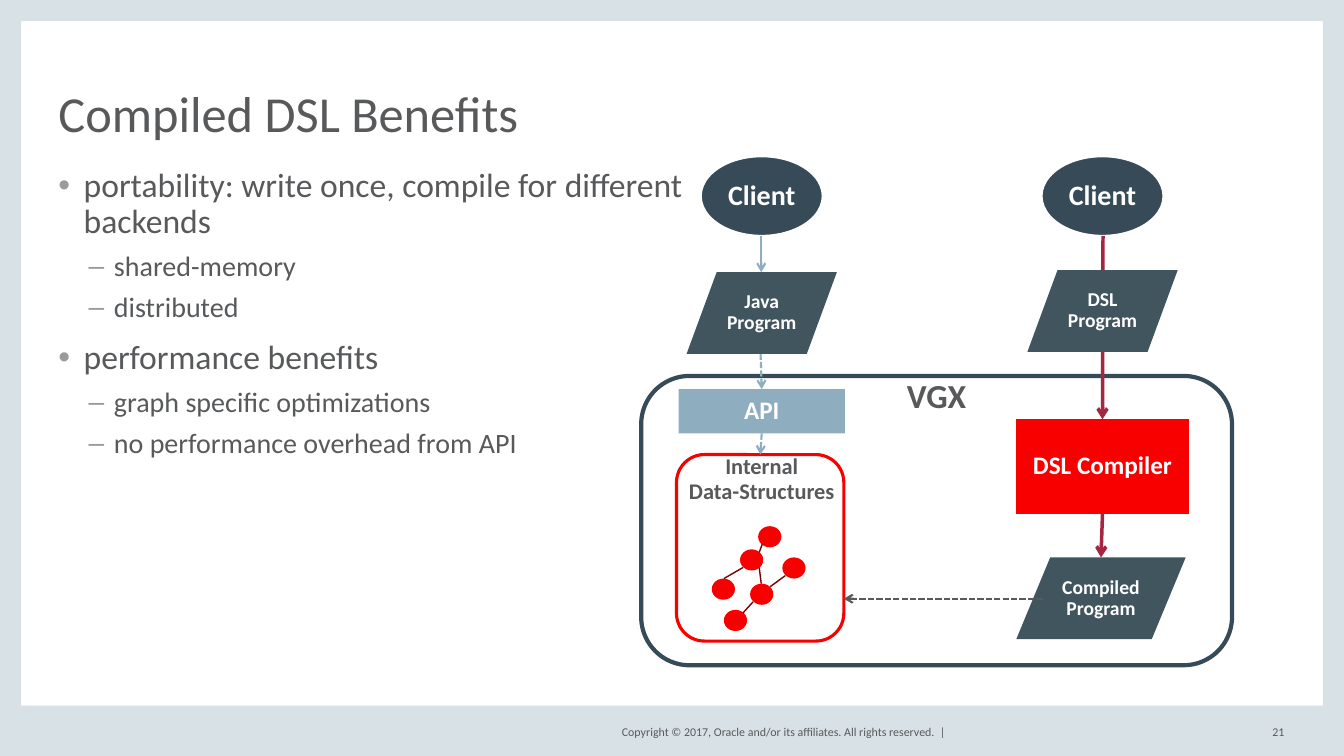
from lxml.etree import SubElement
from pptx import Presentation
from pptx.dml.color import RGBColor
from pptx.enum.dml import MSO_LINE
from pptx.enum.shapes import MSO_CONNECTOR, MSO_SHAPE
from pptx.enum.text import MSO_ANCHOR, MSO_AUTO_SIZE, PP_ALIGN
from pptx.oxml.ns import qn
from pptx.util import Inches, Pt

COLORS = {
    "frame": "D8E1E6", "text": "58595B", "bullet": "9A9B9D", "white": "FFFFFF",
    "navy": "374A58", "slate": "41555E", "steel": "8EADBF", "red": "F80000",
    "crimson": "A52641", "maroon": "7C0000",
}
FONT = "Calibri"
NO_INSETS = (0, 0, 0, 0)
BOX_INSETS = (0.1, 0.05, 0.1, 0.05)
CLIENT_INSETS = (0.01, 0.04, 0.01, 0.04)


class DiagramSlide:
    """Holds the style and the current slide, and draws each kind of element."""

    def __init__(self, deck):
        self.slide = deck.slides.add_slide(deck.slide_layouts[1])

    def color(self, name):
        return RGBColor.from_string(COLORS[name])

    def place(self, holder, at):
        holder.left, holder.top, holder.width, holder.height = map(Inches, at)

    def frame_text(self, frame, anchor, insets):
        frame.auto_size = MSO_AUTO_SIZE.NONE
        frame.word_wrap = True
        frame.vertical_anchor = anchor
        (frame.margin_left, frame.margin_top,
         frame.margin_right, frame.margin_bottom) = map(Inches, insets)

    def add_words(self, paragraph, words, size, color="text", bold=False,
                  align=PP_ALIGN.LEFT, spacing=0.9):
        paragraph.alignment = align
        paragraph.line_spacing = spacing
        for number, line in enumerate(words.split("\n")):
            if number:
                paragraph.add_line_break()
            run = paragraph.add_run()
            run.text = line
            run.font.name = FONT
            run.font.size = Pt(size)
            run.font.bold = bold
            run.font.color.rgb = self.color(color)

    def title(self, words, at):
        heading = self.slide.shapes.title
        self.place(heading, at)
        self.frame_text(heading.text_frame, MSO_ANCHOR.BOTTOM, NO_INSETS)
        self.add_words(heading.text_frame.paragraphs[0], words, 36, spacing=0.8)

    def bullets(self, items, at):
        body = self.slide.placeholders[1]
        self.place(body, at)
        frame = body.text_frame
        self.frame_text(frame, MSO_ANCHOR.TOP, NO_INSETS)
        for number, (level, words) in enumerate(items):
            paragraph = frame.add_paragraph() if number else frame.paragraphs[0]
            size, before, indent, mark = ((24, 12, 0.25, "•"), (20, 8, 0.55, "–"))[level]
            paragraph.level = level
            properties = paragraph._p.get_or_add_pPr()
            properties.set("marL", str(Inches(indent)))
            properties.set("indent", str(Inches(-0.25)))
            tint = SubElement(properties, qn("a:buClr"))
            SubElement(tint, qn("a:srgbClr"), val=COLORS["bullet"])
            SubElement(properties, qn("a:buChar"), char=mark)
            paragraph.space_before = Pt(before if number else 0)
            self.add_words(paragraph, words, size)

    def label(self, words, at, size, bold=False, align=PP_ALIGN.CENTER,
              anchor=MSO_ANCHOR.TOP):
        box = self.slide.shapes.add_textbox(*map(Inches, at))
        self.frame_text(box.text_frame, anchor, NO_INSETS)
        self.add_words(box.text_frame.paragraphs[0], words, size, bold=bold, align=align)

    def block(self, kind, at, fill=None, outline=None, weight=1.5,
              words="", size=14, insets=BOX_INSETS):
        shape = self.slide.shapes.add_shape(kind, *map(Inches, at))
        shape.shadow.inherit = False
        if fill:
            shape.fill.solid()
            shape.fill.fore_color.rgb = self.color(fill)
        else:
            shape.fill.background()
        if outline:
            shape.line.color.rgb = self.color(outline)
            shape.line.width = Pt(weight)
        else:
            shape.line.fill.background()
        if words:
            self.frame_text(shape.text_frame, MSO_ANCHOR.MIDDLE, insets)
            self.add_words(shape.text_frame.paragraphs[0], words, size, "white", True,
                           PP_ALIGN.CENTER)
        return shape

    def link(self, start, end, color, weight, dashed=False, arrow=True,
             source=None, target=None):
        line = self.slide.shapes.add_connector(
            MSO_CONNECTOR.STRAIGHT, *map(Inches, (*start, *end)))
        line.line.color.rgb = self.color(color)
        line.line.width = Pt(weight)
        if dashed:
            line.line.dash_style = MSO_LINE.SQUARE_DOT
        if arrow:
            outline = line._element.spPr.find(qn("a:ln"))
            SubElement(outline, qn("a:tailEnd"), type="arrow")
        SubElement(line._element.spPr, qn("a:effectLst"))
        if source:
            line.begin_connect(source, 2)
        if target:
            line.end_connect(target, 0)


def main():
    deck = Presentation()
    deck.slide_width, deck.slide_height = Inches(13.33), Inches(7.5)
    page = DiagramSlide(deck)

    for border in ((0, 0, 0.21, 7.5), (13.12, 0, 0.21, 7.5),
                   (0, 7, 13.33, 0.5), (0, 0, 13.33, 0.21)):
        page.block(MSO_SHAPE.RECTANGLE, border, "frame")
    footers = (
        ("Copyright © 2017, Oracle and/or its affiliates. All rights reserved.  |",
         (5.88, 7.17, 3.5, 0.2)),
        ("21", (12.38, 7.17, 0.36, 0.2)),
    )
    for words, at in footers:
        page.label(words, at, 8.5, align=PP_ALIGN.RIGHT, anchor=MSO_ANCHOR.MIDDLE)

    page.title("Compiled DSL Benefits", (0.58, 0.44, 12.17, 0.97))
    page.bullets((
        (0, "portability: write once, compile for different\nbackends"),
        (1, "shared-memory"),
        (1, "distributed"),
        (0, "performance benefits"),
        (1, "graph specific optimizations"),
        (1, "no performance overhead from API"),
    ), (0.58, 1.67, 12.17, 4.83))

    page.block(MSO_SHAPE.ROUNDED_RECTANGLE, (6.36, 3.73, 5.86, 2.87),
               outline="navy", weight=3)
    page.label("VGX", (6.36, 3.76, 5.86, 0.35), 24, bold=True)
    for left in (6.95, 10.33):
        page.block(MSO_SHAPE.OVAL, (left, 1.55, 1.21, 0.79), "navy", "white",
                   words="Client", size=20, insets=CLIENT_INSETS)

    for left, top in ((7.18, 6.05), (7.44, 5.79), (7.06, 5.74),
                      (7.76, 5.53), (7.34, 5.45), (7.52, 5.22)):
        page.block(MSO_SHAPE.OVAL, (left, top, 0.23, 0.21), "red")
    for start, end in (((7.18, 5.74), (7.37, 5.63)), ((7.55, 5.79), (7.53, 5.63)),
                       ((7.64, 5.82), (7.79, 5.71)), ((7.37, 6.08), (7.47, 5.97)),
                       ((7.53, 5.48), (7.56, 5.4))):
        page.link(start, end, "maroon", 1, arrow=False)
    structures = page.block(MSO_SHAPE.ROUNDED_RECTANGLE, (6.71, 4.51, 1.66, 1.85),
                            outline="red", weight=2.25)
    page.label("Internal\nData-Structures", (6.73, 4.52, 1.65, 0.53), 16, bold=True)

    api = page.block(MSO_SHAPE.RECTANGLE, (6.73, 3.86, 1.65, 0.44), "steel",
                     words="API", size=18)
    compiler = page.block(MSO_SHAPE.FLOWCHART_PROCESS, (10.08, 4.16, 1.71, 0.94),
                          "red", words="DSL Compiler", size=18)
    page.link((10.94, 2.34), (10.94, 4.16), "crimson", 2.5, target=compiler)
    page.link((7.55, 2.34), (7.55, 2.7), "steel", 1.5)
    page.link((7.53, 3.09), (7.55, 3.86), "steel", 1.5, dashed=True, target=api)
    page.link((7.55, 4.3), (7.55, 4.52), "steel", 1.5, dashed=True,
              source=api, target=structures)

    for words, at in (("Java\nProgram", (6.81, 2.7, 1.49, 0.81)),
                      ("DSL\nProgram", (10.19, 2.68, 1.49, 0.81)),
                      ("Compiled Program", (10.08, 5.53, 1.68, 0.81))):
        page.block(MSO_SHAPE.FLOWCHART_DATA, at, "slate", words=words)
    page.link((10.92, 5.1), (10.92, 5.53), "crimson", 2.5, source=compiler)
    page.link((10.34, 5.94), (8.37, 5.94), "text", 1.5, dashed=True)

    deck.save("out.pptx")


if __name__ == "__main__":
    main()
